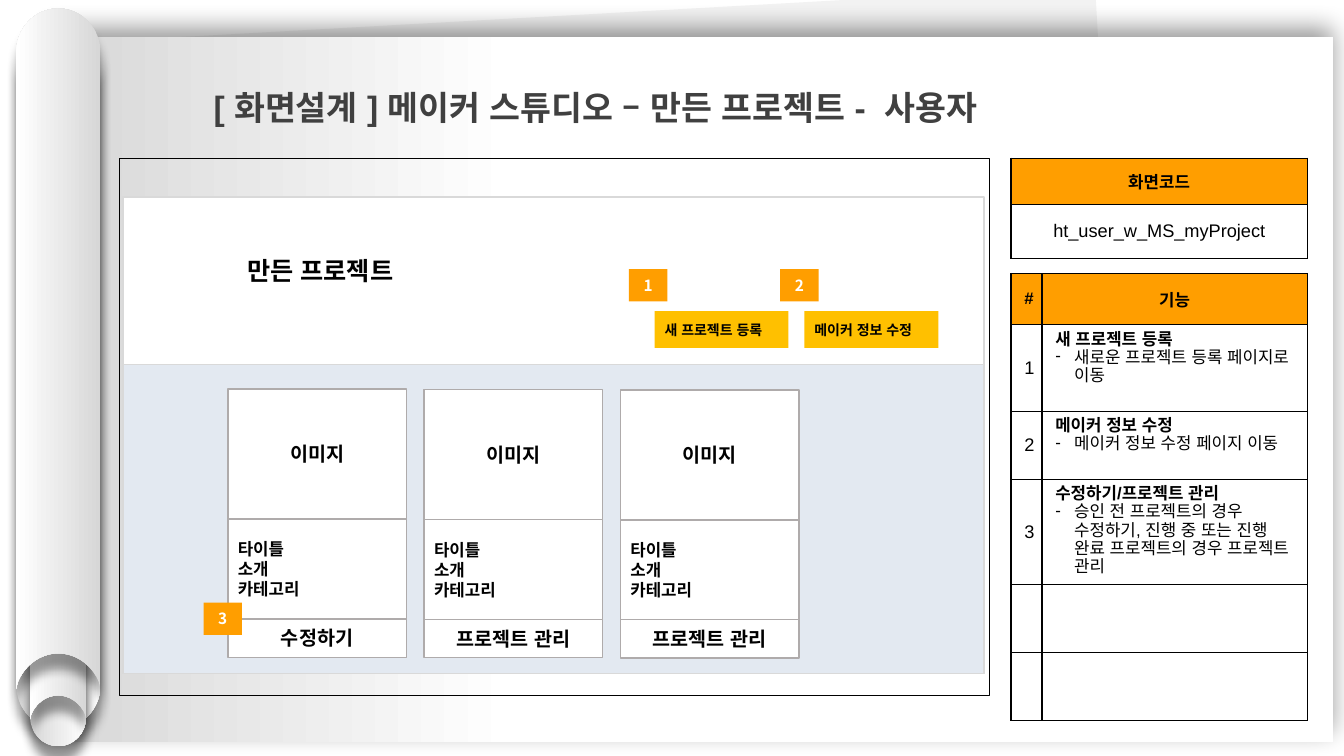
import lxml.etree
import pptx
import pptx.dml.color
import pptx.enum.lang
import pptx.enum.shapes
import pptx.enum.text
import pptx.oxml.ns
import pptx.util

Pt = pptx.util.Pt
qn = pptx.oxml.ns.qn
Align = pptx.enum.text.PP_ALIGN
Anchor = pptx.enum.text.MSO_ANCHOR

COLORS = {
    "black": "000000", "white": "FFFFFF", "title": "404040", "back": "F2F2F2",
    "shade": "D7D7D7", "orange": "FF9E00", "amber": "FFC000", "blue": "E3E9F1",
    "edge": "D9D9D9", "rim": "AFABAB",
}
LATIN, KOREAN = "Arial", "Noto Sans CJK KR"

TITLE = "[ 화면설계 ] 메이커 스튜디오 – 만든 프로젝트 -  사용자"
HEADING = "만든 프로젝트"
CODE = ("화면코드", "ht_user_w_MS_myProject")
HEADS = ("#", "기능")
NOTES = [
    ("새 프로젝트 등록", "새로운 프로젝트 등록 페이지로 이동"),
    ("메이커 정보 수정", "메이커 정보 수정 페이지 이동"),
    ("수정하기/프로젝트 관리",
     "승인 전 프로젝트의 경우 수정하기, 진행 중 또는 진행 완료 프로젝트의 경우 프로젝트 관리"),
]
BUTTONS = ["새 프로젝트 등록", "메이커 정보 수정"]
IMAGE = "이미지"
DETAILS = ["타이틀", "소개", "카테고리"]
ACTIONS = ["수정하기", "프로젝트 관리", "프로젝트 관리"]
BADGES = [("3", 145.4, 430.5), ("1", 449.3, 192.3), ("2", 557.3, 192.3)]

# Roll parts, back to front: left, top, width, height, turn
TUBES = [
    (11.5, 34.5, 60.3, 486, 180),
    (21.5, 207.5, 40, 325.5, 180),
    (21.5, 188, 40, 325.5, 0),
    (11.5, 6, 60.3, 486, 0),
]
# Outline in tube widths; foot heights count up from the lower end
DOME_RIGHT = [(0.5, 0), (0.78, 0), (1, 0.24), (1, 0.52)]
FOOT = [(1, 0), (0.98, 0.08), (0.9, 0.28), (0.71, 0.42), (0.5, 0.42),
        (0.29, 0.42), (0.1, 0.28), (0.02, 0.08), (0, 0)]
DOME_LEFT = [(1 - x, y) for x, y in reversed(DOME_RIGHT)]
CURVES = [0, 5, 8, 13]  # first line of each three that form a curve

SIDE = 722.2
CODE_ROWS = [33.1, 38.7]
NOTE_COLS, NOTE_ROWS = [22.1, 189.4], [36.7, 61.7, 48.8, 74.9, 48.7, 48.7]
CARD_X, CARD_Y, CARD_W = 162.8, 278, 127.5
CARD_STEP, CARD_DROP = 140.2, 0.3
CARD_PARTS = [92.8, 71.3, 27.4]


def rgb(name):
    return pptx.dml.color.RGBColor.from_string(COLORS[name])


def add(parent, tag, **attrs):
    return lxml.etree.SubElement(parent, qn(tag), {k: str(v) for k, v in attrs.items()})


def style(para, size, bold=True, color="black", face=KOREAN, align=Align.LEFT):
    para.alignment = align
    font = para.font
    font.size, font.bold, font.name = Pt(size), bold, face
    font.language_id = pptx.enum.lang.MSO_LANGUAGE_ID.KOREAN
    font.color.rgb = rgb(color)
    add(para._p.pPr.find(qn("a:defRPr")), "a:ea", typeface=KOREAN)


def finish(shape, fill=None, line=None, width=1):
    """Set the fill and outline and drop the theme shadow."""
    shape.shadow.inherit = False
    if fill:
        shape.fill.solid()
        shape.fill.fore_color.rgb = rgb(fill)
    else:
        shape.fill.background()
    if line:
        shape.line.color.rgb = rgb(line)
        shape.line.width = Pt(width)
    else:
        shape.line.fill.background()


def box(shapes, place, fill=None, line=None, width=1, lines=(), **look):
    shape = shapes.add_shape(pptx.enum.shapes.MSO_SHAPE.RECTANGLE, *map(Pt, place))
    finish(shape, fill, line, width)
    if lines:
        frame = shape.text_frame
        frame.vertical_anchor = Anchor.MIDDLE
        frame.text = "\n".join(lines)
        for para in frame.paragraphs:
            style(para, **look)
    return shape


def blend(shape, stops, blur, dist, angle):
    """Give a shape a sideways gradient and an outer shadow."""
    shape.fill.gradient()
    shape.fill.gradient_angle = 180
    for stop, (place, color) in zip(shape.fill.gradient_stops, stops):
        stop.position = place
        stop.color.rgb = rgb(color)
    effects = shape._element.spPr.find(qn("a:effectLst"))
    shadow = add(effects, "a:outerShdw", blurRad=Pt(blur), dist=Pt(dist),
                 dir=angle * 60000, rotWithShape=0)
    tint = add(shadow, "a:srgbClr", val=COLORS["black"])
    add(tint, "a:alpha", val=40000)


def tube(shapes, left, top, wide, high, turn):
    """Draw a strip with a domed top and a matching hollow at its foot."""
    spots = [(x, y * wide) for x, y in DOME_RIGHT]
    spots += [(x, high - y * wide) for x, y in FOOT]
    spots += [(x, y * wide) for x, y in DOME_LEFT]
    points = [(Pt(left + x * wide), Pt(top + y)) for x, y in spots]
    pen = shapes.build_freeform(*points[0])
    pen.add_line_segments(points[1:], close=True)
    shape = pen.convert_to_shape()
    lines = list(shape.element.iter(qn("a:lnTo")))
    for first in CURVES:
        curve = lxml.etree.Element(qn("a:cubicBezTo"))
        lines[first].addprevious(curve)
        for line in lines[first:first + 3]:
            curve.append(line[0])
            line.getparent().remove(line)
    finish(shape)
    blend(shape, [(0, "shade"), (1, "white")], 7, 11, 90)
    shape.rotation = turn


def grid(shapes, top, cols, rows):
    """Add a plain table with black rules and an orange first row."""
    place = map(Pt, (SIDE, top, sum(cols), sum(rows)))
    table = shapes.add_table(len(rows), len(cols), *place).table
    table.first_row = table.horz_banding = False
    for col, wide in zip(table.columns, cols):
        col.width = Pt(wide)
    for r, high in enumerate(rows):
        table.rows[r].height = Pt(high)
        for cell in table.rows[r].cells:
            cell.margin_left = cell.margin_right = Pt(9.5)
            cell.margin_top = cell.margin_bottom = Pt(5)
            props = cell._tc.get_or_add_tcPr()
            for side in "LRTB":
                rule = add(props, f"a:ln{side}", w=Pt(1))
                add(add(rule, "a:solidFill"), "a:srgbClr", val=COLORS["black"])
            if r:
                cell.fill.background()
            else:
                cell.fill.solid()
                cell.fill.fore_color.rgb = rgb("orange")
    return table


def label(cell, text, size, bold):
    cell.vertical_anchor = Anchor.MIDDLE
    cell.text = text
    style(cell.text_frame.paragraphs[0], size, bold, face=LATIN, align=Align.CENTER)


def explain(cell, head, note):
    cell.text = f"{head}\n{note}"
    first, second = cell.text_frame.paragraphs
    props = second._p.get_or_add_pPr()
    props.set("marL", str(Pt(13.5)))
    props.set("indent", str(Pt(-13.5)))
    add(props, "a:buFont", typeface=LATIN)
    add(props, "a:buChar", char="-")
    for para in (first, second):
        para.line_spacing = Pt(13)
        style(para, 12, para is first, face=LATIN)


def main():
    deck = pptx.Presentation()
    deck.slide_width, deck.slide_height = Pt(960), Pt(540)
    slide = deck.slides.add_slide(deck.slide_layouts[5])
    shapes = slide.shapes

    box(shapes, (65.5, 10, 731, 489.5), "back").rotation = 356.8
    sheet = box(shapes, (37.5, 26.5, 915, 503.5))
    blend(sheet, [(0.64, "white"), (1, "shade")], 18, 6, 270)
    roll = shapes.add_group_shape().shapes
    for part in TUBES:
        tube(roll, *part)

    title = shapes.title
    title.element.getparent().append(title.element)
    title.left, title.top, title.width, title.height = map(Pt, (145.4, 44, 794, 51))
    frame = title.text_frame
    frame.text = TITLE
    frame.vertical_anchor = Anchor.TOP
    frame.auto_size = pptx.enum.text.MSO_AUTO_SIZE.NONE
    frame.paragraphs[0].line_spacing = 1.5
    style(frame.paragraphs[0], 24, color="title", face=LATIN)

    table = grid(shapes, 113, [sum(NOTE_COLS)], CODE_ROWS)
    label(table.cell(0, 0), CODE[0], 12, True)
    label(table.cell(1, 0), CODE[1], 13, False)
    box(shapes, (85.2, 112.9, 621.4, 383.8), line="black", width=0.75)
    table = grid(shapes, 195.3, NOTE_COLS, NOTE_ROWS)
    for c, head in enumerate(HEADS):
        label(table.cell(0, c), head, 12, True)
    for r, note in enumerate(NOTES, 1):
        label(table.cell(r, 0), str(r), 13, False)
        explain(table.cell(r, 1), *note)

    panel = shapes.add_group_shape().shapes
    box(panel, (88, 140.6, 615, 340.4), "white", "edge")
    box(panel, (88, 260.5, 615, 220.5), "blue", "edge")
    box(panel, (169.4, 182, 173.5, 22.5), "white", lines=[HEADING], size=18)
    for i, text in enumerate(BUTTONS):
        box(panel, (467.6 + 107 * i, 222.3, 95.6, 26.2), "amber", lines=[text], size=10)
    for i, action in enumerate(ACTIONS):
        y = CARD_Y + CARD_DROP * i
        for high, lines in zip(CARD_PARTS, ([IMAGE], DETAILS, [action])):
            listed = lines is DETAILS
            box(panel, (CARD_X + CARD_STEP * i, y, CARD_W, high), "white", "rim",
                lines=lines, size=12 if listed else 14,
                align=Align.LEFT if listed else Align.CENTER)
            y += high
    for text, x, y in BADGES:
        box(shapes, (x, y, 27.5, 23), "orange", lines=[text], size=11,
            color="white", align=Align.CENTER)
    deck.save("out.pptx")


if __name__ == "__main__":
    main()
